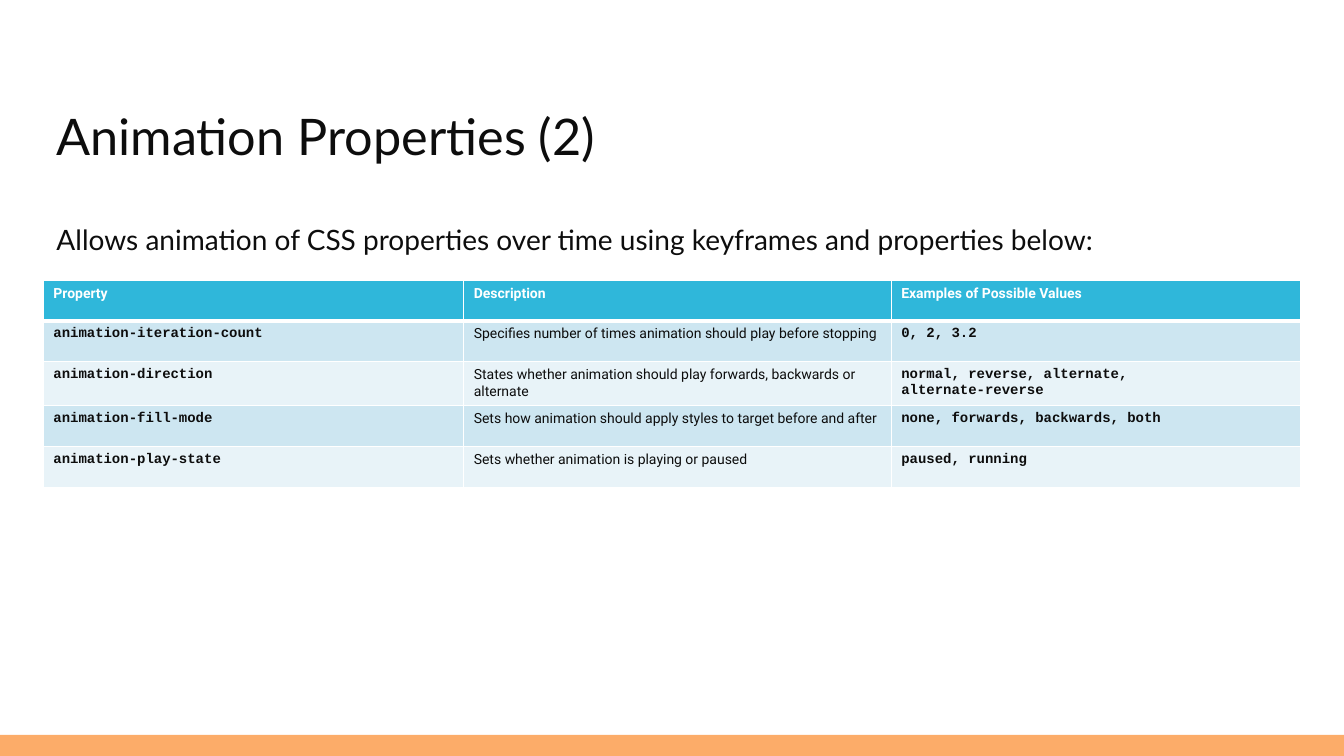
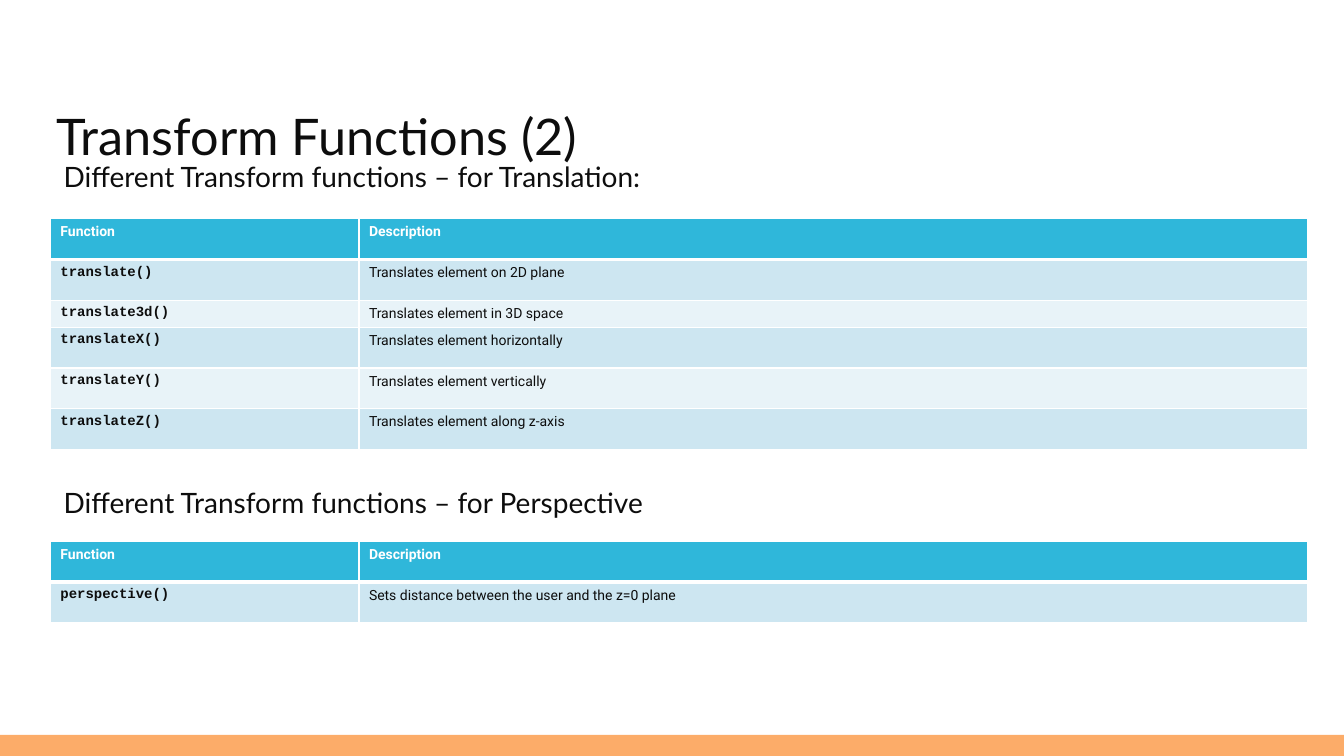
"""Build two slides of CSS reference tables: animation properties and transform functions."""
from dataclasses import dataclass

import lxml.etree
import pptx
import pptx.dml.color
import pptx.enum.shapes
import pptx.enum.text
import pptx.oxml.ns
import pptx.slide
import pptx.table
import pptx.text.text
import pptx.util

Inches = pptx.util.Inches
Pt = pptx.util.Pt
RGBColor = pptx.dml.color.RGBColor
qn = pptx.oxml.ns.qn

WHITE = RGBColor(0xFF, 0xFF, 0xFF)
INK = RGBColor(0x0D, 0x0D, 0x0D)
ORANGE = RGBColor(0xFC, 0xAC, 0x69)
HEADER_BLUE = RGBColor(0x2F, 0xB7, 0xDA)
BAND_BLUES = (RGBColor(0xCD, 0xE6, 0xF1), RGBColor(0xE8, 0xF3, 0xF8))

SLIDE_W, SLIDE_H = Inches(13.33), Inches(7.5)
FOOTER_H = Inches(0.21)
TITLE_LEFT, TITLE_TOP = Inches(0.56), Inches(1.06)
TEXT_W = Inches(12.21)
ROW_H = Inches(0.81) // 2
SHORT_ROW_H = Inches(0.2)
THIN, THICK = Pt(1), Pt(3)

TITLE = {"name": "Lato", "size": Pt(36)}
SUBTITLE = {"name": "Lato", "size": Pt(20)}
HEADER = {"name": "Roboto", "size": Pt(10), "bold": True}
CODE = {"name": "Courier New", "size": Pt(10), "bold": True}
PROSE = {"name": "Roboto", "size": Pt(10), "bold": False}


@dataclass(frozen=True)
class Section:
    """A subtitle with the table below it."""
    subtitle: str
    subtitle_at: tuple[int, int]
    table_at: tuple[int, int]
    col_widths: tuple[int, ...]
    rows: tuple[tuple[str, ...], ...]
    short_rows: tuple[int, ...] = ()


@dataclass(frozen=True)
class Page:
    """A titled slide with its sections."""
    title: str
    sections: tuple[Section, ...]


FUNCTION_COLS = (Inches(3.06), Inches(9.41))
FUNCTION_HEADER = ("Function", "Description")

PAGES = (
    Page("Animation Properties (2)", (
        Section(
            "Allows animation of CSS properties over time using keyframes and properties below:",
            (TITLE_LEFT, Inches(2.2)), (Inches(0.43), Inches(2.78)),
            (Inches(4.17), Inches(4.24), Inches(4.06)),
            (
                ("Property", "Description", "Examples of Possible Values"),
                ("animation-iteration-count",
                 "Specifies number of times animation should play before stopping",
                 "0, 2, 3.2"),
                ("animation-direction",
                 "States whether animation should play forwards, backwards or alternate",
                 "normal, reverse, alternate,\nalternate-reverse"),
                ("animation-fill-mode",
                 "Sets how animation should apply styles to target before and after",
                 "none, forwards, backwards, both"),
                ("animation-play-state",
                 "Sets whether animation is playing or paused",
                 "paused, running"),
            ),
        ),
    )),
    Page("Transform Functions (2)", (
        Section(
            "Different Transform functions – for Translation:",
            (Inches(0.63), Inches(1.57)), (Inches(0.5), Inches(2.17)), FUNCTION_COLS,
            (
                FUNCTION_HEADER,
                ("translate()", "Translates element on 2D plane"),
                ("translate3d()", "Translates element in 3D space"),
                ("translateX()", "Translates element horizontally"),
                ("translateY()", "Translates element vertically"),
                ("translateZ()", "Translates element along z-axis"),
            ),
            short_rows=(2,),
        ),
        Section(
            "Different Transform functions – for Perspective",
            (Inches(0.63), Inches(4.8)), (Inches(0.5), Inches(5.37)), FUNCTION_COLS,
            (
                FUNCTION_HEADER,
                ("perspective()", "Sets distance between the user and the z=0 plane"),
            ),
        ),
    )),
)


def write(tf: pptx.text.text.TextFrame, text: str, style: dict, color: RGBColor) -> None:
    """Fill a text frame with text in one style."""
    tf.text = text
    for p in tf.paragraphs:
        for r in p.runs:
            for key, value in style.items():
                setattr(r.font, key, value)
            r.font.color.rgb = color


def add_heading(s: pptx.slide.Slide, text: str, at: tuple[int, int], height: int,
                style: dict) -> None:
    """Add a title or subtitle."""
    tf = s.shapes.add_textbox(*at, TEXT_W, height).text_frame
    frame = {"word_wrap": True, "margin_left": 0, "margin_right": 0,
             "vertical_anchor": pptx.enum.text.MSO_ANCHOR.TOP}
    for key, value in frame.items():
        setattr(tf, key, value)
    write(tf, text, style, INK)
    tf.paragraphs[0].line_spacing = 0.9


def add_footer(s: pptx.slide.Slide) -> None:
    """Add the band along the bottom edge."""
    sp = s.shapes.add_shape(pptx.enum.shapes.MSO_SHAPE.RECTANGLE,
                            0, SLIDE_H - FOOTER_H, SLIDE_W, FOOTER_H)
    sp.shadow.inherit = False
    sp.fill.solid()
    sp.fill.fore_color.rgb = ORANGE
    sp.line.fill.background()


def set_borders(cell: pptx.table._Cell, top: int, bottom: int) -> None:
    """Draw white borders around a cell."""
    tc_pr = cell._tc.get_or_add_tcPr()
    widths = {"a:lnL": THIN, "a:lnR": THIN, "a:lnT": top, "a:lnB": bottom}
    for tag, width in widths.items():
        ln = lxml.etree.SubElement(tc_pr, qn(tag), w=str(int(width)))
        fill = lxml.etree.SubElement(ln, qn("a:solidFill"))
        lxml.etree.SubElement(fill, qn("a:srgbClr"), val=str(WHITE))


def add_table(s: pptx.slide.Slide, section: Section) -> None:
    """Add a banded table with code and prose columns alternating."""
    heights = [SHORT_ROW_H if i in section.short_rows else ROW_H
               for i in range(len(section.rows))]
    table = s.shapes.add_table(len(heights), len(section.col_widths), *section.table_at,
                               sum(section.col_widths), sum(heights)).table
    table.horz_banding = False
    for col, width in zip(table.columns, section.col_widths):
        col.width = width
    for i, (row, height, texts) in enumerate(zip(table.rows, heights, section.rows)):
        row.height = height
        for j, (cell, text) in enumerate(zip(row.cells, texts)):
            set_borders(cell, THICK if i == 1 else THIN, THICK if i == 0 else THIN)
            cell.fill.solid()
            cell.fill.fore_color.rgb = BAND_BLUES[(i - 1) % 2] if i else HEADER_BLUE
            body_style = PROSE if j % 2 else CODE
            write(cell.text_frame, text, body_style if i else HEADER, INK if i else WHITE)


def main() -> None:
    """Build and save the slides."""
    prs = pptx.Presentation()
    prs.slide_width, prs.slide_height = SLIDE_W, SLIDE_H
    for page in PAGES:
        s = prs.slides.add_slide(prs.slide_layouts[6])
        add_footer(s)
        add_heading(s, page.title, (TITLE_LEFT, TITLE_TOP), Inches(0.79), TITLE)
        for section in page.sections:
            add_heading(s, section.subtitle, section.subtitle_at, Inches(0.45), SUBTITLE)
            add_table(s, section)
    prs.save("out.pptx")


if __name__ == "__main__":
    main()
